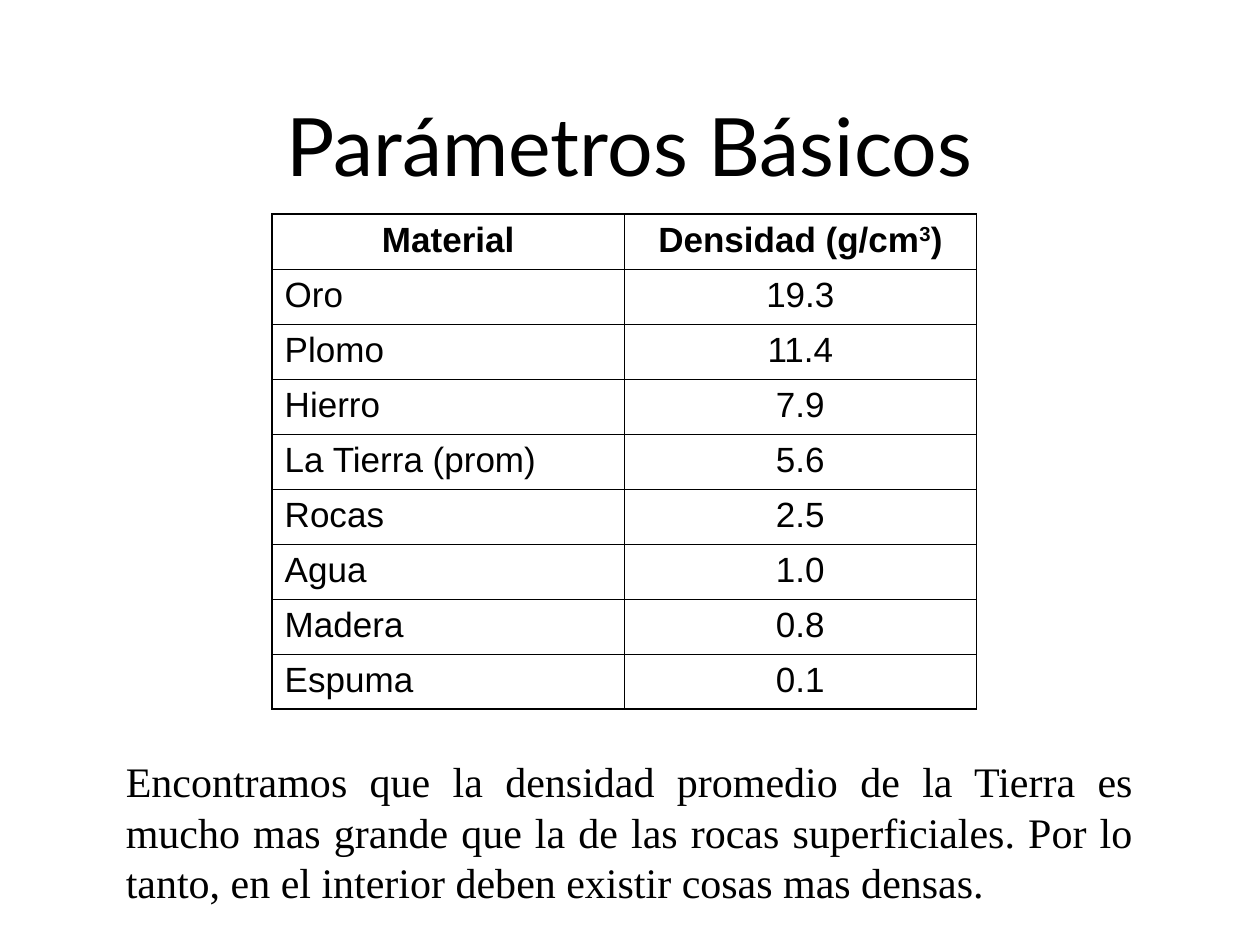
from pptx import Presentation, util as u
from pptx.dml.color import RGBColor
from pptx.enum import text
from pptx.oxml import parse_xml
from pptx.oxml.ns import nsdecls

IN = u.Inches
AL = text.PP_ALIGN
INK = "000000"
THIN, THICK = 0.45, 1.08
ROWS = [
    ("Material", "Densidad (g/cm^3^)"),
    ("Oro", "19.3"),
    ("Plomo", "11.4"),
    ("Hierro", "7.9"),
    ("La Tierra (prom)", "5.6"),
    ("Rocas", "2.5"),
    ("Agua", "1.0"),
    ("Madera", "0.8"),
    ("Espuma", "0.1"),
]
NOTE = ("Encontramos que la densidad promedio de la Tierra es mucho mas grande "
        "que la de las rocas superficiales. Por lo tanto, en el interior deben "
        "existir cosas mas densas.")


def color(code):
    return RGBColor.from_string(code)


def write(para, words, align, **form):
    """Fill a paragraph; a part between carets is set as superscript."""
    para.alignment = align
    for i, part in enumerate(words.split("^")):
        run = para.add_run()
        run.text = part
        for key, val in form.items():
            setattr(run.font, key, val)
        run.font.color.rgb = color(INK)
        if i % 2:
            run.font._element.set("baseline", "30000")


def add_text(slide, box, words, align, anchor, **form):
    frame = slide.shapes.add_textbox(*map(IN, box)).text_frame
    frame.word_wrap = True
    frame.vertical_anchor = anchor
    write(frame.paragraphs[0], words, align, **form)


def set_edges(cell, widths):
    """Draw the left, right, top and bottom lines, widths in points."""
    props = cell._tc.get_or_add_tcPr()
    for i, (side, width) in enumerate(zip("LRTB", widths)):
        props.insert(i, parse_xml(
            f'<a:ln{side} {nsdecls("a")} w="{u.Pt(width)}"><a:solidFill>'
            f'<a:srgbClr val="{INK}"/></a:solidFill></a:ln{side}>'))


def add_grid(slide, box, rows):
    count, wide = len(rows), len(rows[0])
    table = slide.shapes.add_table(count, wide, *map(IN, box)).table
    table.first_row = table.horz_banding = False
    for col in table.columns:
        col.width = IN(box[2] / wide)
    for row in table.rows:
        row.height = IN(box[3] / count)
    for r, row in enumerate(rows):
        for c, words in enumerate(row):
            cell = table.cell(r, c)
            cell.fill.background()
            outer = (c == 0, c == wide - 1, r == 0, r == count - 1)
            set_edges(cell, [THICK if edge else THIN for edge in outer])
            align = AL.LEFT if r and c == 0 else AL.CENTER
            write(cell.text_frame.paragraphs[0], words, align,
                  name="Arial", size=u.Pt(20), bold=r == 0)


def main():
    deck = Presentation()
    deck.slide_width, deck.slide_height = IN(10), IN(7.5)
    slide = deck.slides.add_slide(deck.slide_layouts[6])
    add_text(slide, (0.6, 0.12, 8.79, 1.46), "Parámetros Básicos", AL.CENTER,
             text.MSO_ANCHOR.BOTTOM, name="Lato", size=u.Pt(46))
    add_text(slide, (0.9, 5.95, 8.19, 1.3), NOTE, AL.JUSTIFY,
             text.MSO_ANCHOR.TOP, name="Times New Roman", size=u.Pt(24))
    add_grid(slide, (2.16, 1.7, 5.59, 3.93), ROWS)
    deck.save("out.pptx")


if __name__ == "__main__":
    main()
